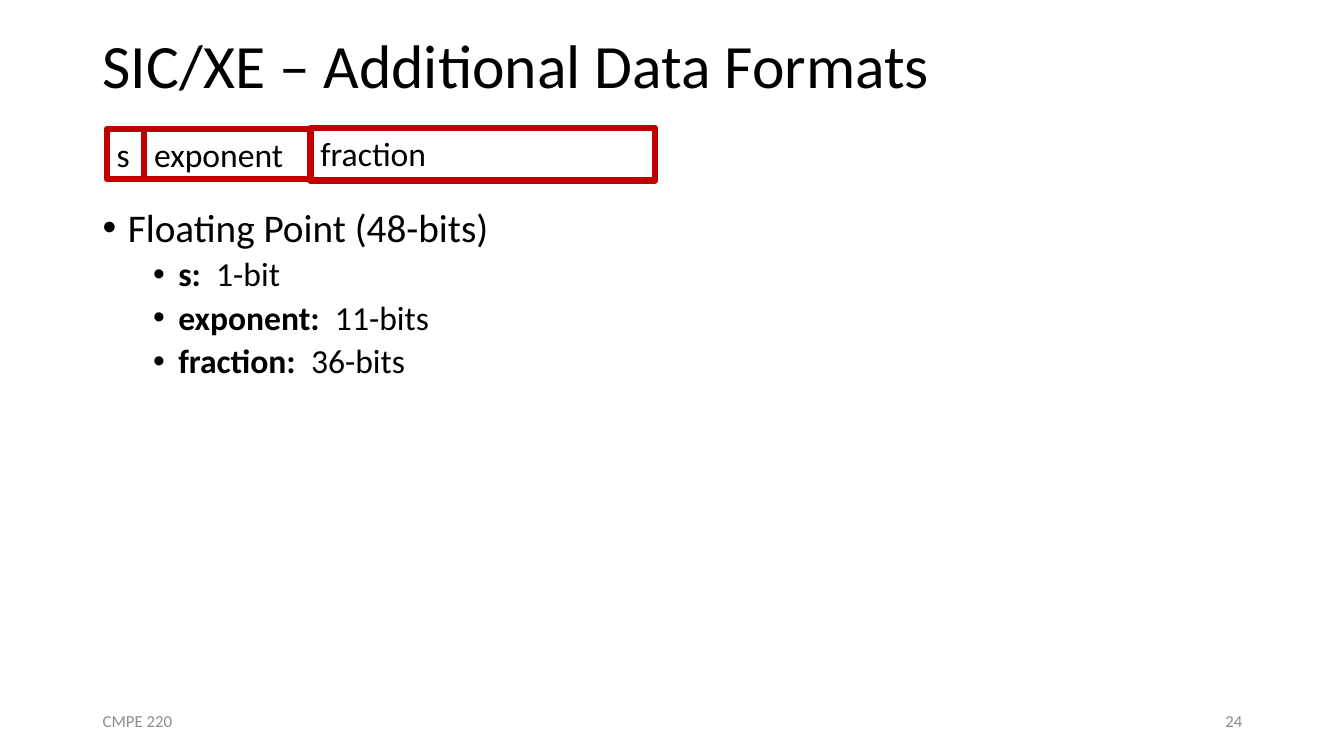
from lxml import etree
from pptx import Presentation
from pptx.dml.color import RGBColor
from pptx.enum.shapes import MSO_SHAPE
from pptx.enum.text import MSO_ANCHOR, MSO_AUTO_SIZE, PP_ALIGN
from pptx.oxml.ns import qn
from pptx.util import Inches, Pt

LEFT, RIGHT = PP_ALIGN.LEFT, PP_ALIGN.RIGHT
TOP, MIDDLE = MSO_ANCHOR.TOP, MSO_ANCHOR.MIDDLE
GROW, FIXED = MSO_AUTO_SIZE.SHAPE_TO_FIT_TEXT, MSO_AUTO_SIZE.NONE
RECTANGLE = MSO_SHAPE.RECTANGLE
COLORS = {"text": "000000", "muted": "8C8C8C", "border": "C00000"}


class SlideBuilder:
    """Holds the style and the current slide, and draws each kind of element."""

    font = "Calibri"

    def __init__(self, slide):
        self.slide = slide

    def set_format(self, target, values):
        for attribute, value in values.items():
            setattr(target, attribute, value)

    def fill_paragraph(self, paragraph, runs, size, color="text", **layout):
        self.set_format(paragraph, layout)
        for content, bold in runs:
            run = paragraph.add_run()
            run.text = content
            self.set_format(run.font, {"name": self.font, "size": Pt(size), "bold": bold})
            run.font.color.rgb = RGBColor.from_string(COLORS[color])

    def text_frame(self, box, anchor=TOP):
        area = self.slide.shapes.add_textbox(*map(Inches, box))
        self.set_format(area.text_frame, {
            "word_wrap": True, "auto_size": FIXED, "vertical_anchor": anchor})
        return area.text_frame

    def label(self, box, content, size, color="text", **layout):
        frame = self.text_frame(box, MIDDLE)
        self.fill_paragraph(frame.paragraphs[0], [(content, False)], size, color, **layout)

    def bullets(self, box, items):
        frame = self.text_frame(box)
        for index, (level, runs) in enumerate(items):
            paragraph = frame.add_paragraph() if index else frame.paragraphs[0]
            self.fill_paragraph(paragraph, runs, 24 if level else 28, level=level,
                                line_spacing=0.9, space_before=Pt(5 if level else 10))
            properties = paragraph._p.get_or_add_pPr()
            properties.set("marL", str(Inches(0.25 + 0.5 * level)))
            properties.set("indent", str(Inches(-0.25)))
            etree.SubElement(properties, qn("a:buFont"), typeface="Arial")
            etree.SubElement(properties, qn("a:buChar"), char="•")

    def field(self, box, name):
        cell = self.slide.shapes.add_shape(RECTANGLE, *map(Inches, box))
        cell.shadow.inherit = False
        cell.fill.background()
        cell.line.color.rgb = RGBColor.from_string(COLORS["border"])
        cell.line.width = Pt(4.5)
        etree.SubElement(cell._element.spPr.find(qn("a:ln")), qn("a:round"))
        self.set_format(cell.text_frame, {
            "word_wrap": True, "auto_size": GROW, "vertical_anchor": TOP})
        self.fill_paragraph(cell.text_frame.paragraphs[0], [(name, False)], 24,
                            alignment=LEFT)


def main():
    deck = Presentation()
    deck.slide_width, deck.slide_height = Inches(13.33), Inches(7.5)
    builder = SlideBuilder(deck.slides.add_slide(deck.slide_layouts[6]))

    builder.label((0.92, 0, 11.5, 1.35), "SIC/XE – Additional Data Formats", 44,
                  line_spacing=0.9)

    bit_counts = [("s", "1-bit"), ("exponent", "11-bits"), ("fraction", "36-bits")]
    details = [(1, [(f"{name}:  ", True), (bits, False)]) for name, bits in bit_counts]
    builder.bullets((0.92, 2.02, 11.5, 4.69),
                    [(0, [("Floating Point (48-bits)", False)])] + details)

    builder.label((0.92, 6.95, 3, 0.4), "CMPE 220", 12, "muted")
    builder.label((9.42, 6.95, 3, 0.4), "24", 12, "muted", alignment=RIGHT)

    left = 1.06
    for name, top, width, height in [("s", 1.28, 0.37, 0.5),
                                     ("exponent", 1.28, 1.65, 0.5),
                                     ("fraction", 1.27, 3.42, 0.52)]:
        builder.field((left, top, width, height), name)
        left += width

    deck.save("out.pptx")


if __name__ == "__main__":
    main()
